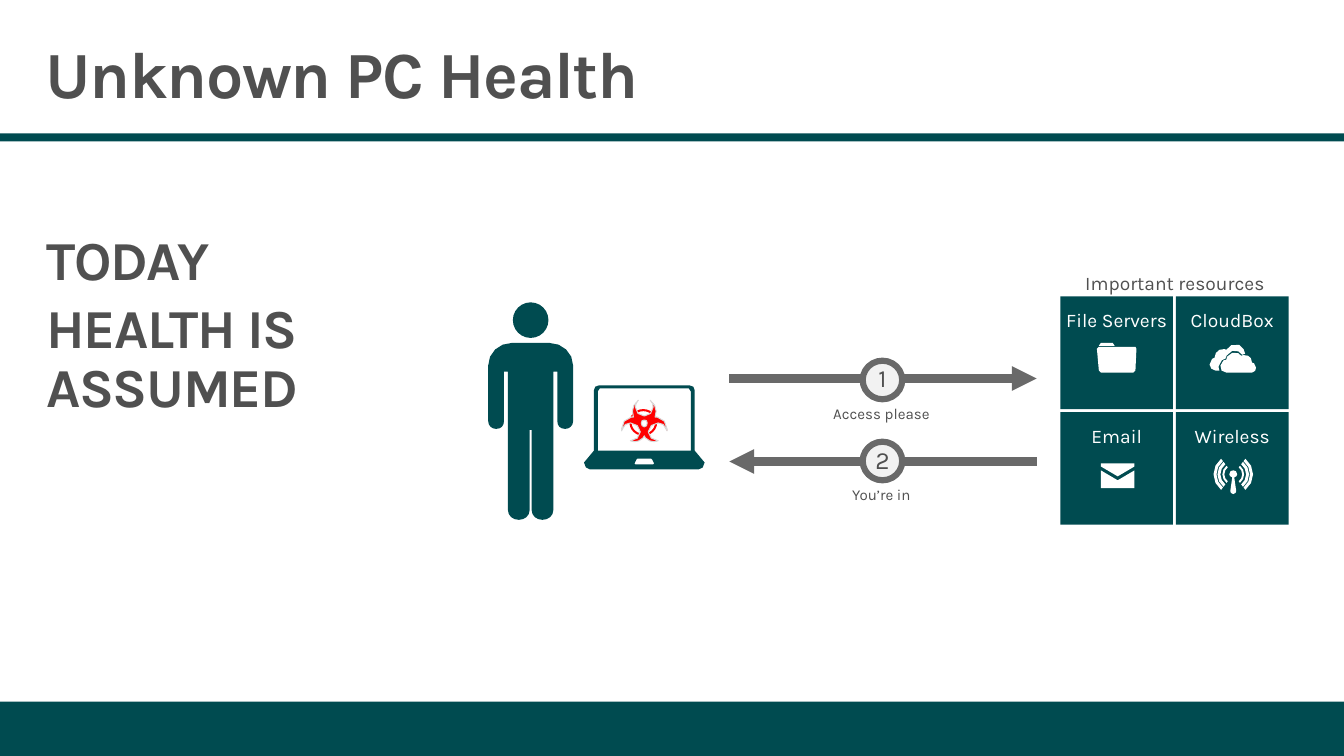
from math import cos, radians, sin

from lxml import etree
from pptx import Presentation
from pptx.dml.color import RGBColor
from pptx.enum.shapes import MSO_CONNECTOR, MSO_SHAPE
from pptx.enum.text import MSO_ANCHOR, PP_ALIGN
from pptx.oxml.ns import qn
from pptx.util import Inches, Pt

# Content
TITLE = "Unknown PC Health"
MESSAGE = ["TODAY", "HEALTH IS ASSUMED"]
RESOURCES_LABEL = "Important resources"
RESOURCES = [["File Servers", "CloudBox"], ["Email", "Wireless"]]
# number, caption, line y, circle top, caption top, line start x, line end x
STEPS = [
    ("1", "Access please", 3.83, 3.65, 4.11, 7.38, 10.49),
    ("2", "You’re in", 4.67, 4.47, 4.93, 10.49, 7.38),
]

FONT = "Karla"
TEAL, GREY, TEXT = "004B50", "696969", "505050"
PALE, WHITE, RED, EDGE = "F2F2F2", "FFFFFF", "FF0000", "D9D9D9"

# Outlines in inches: M starts a contour, L is a line, C is a Bezier curve.
# Symmetric icons give only their right half.
PERSON = """M 5.37 3.47 L 5.56 3.47 C 5.69 3.47 5.8 3.57 5.8 3.7 L 5.8 4.26
 C 5.8 4.31 5.76 4.34 5.72 4.34 C 5.67 4.34 5.64 4.31 5.64 4.26 L 5.64 3.76
 L 5.6 3.76 L 5.6 5.16 C 5.6 5.22 5.55 5.26 5.49 5.26
 C 5.43 5.26 5.38 5.22 5.38 5.16 L 5.38 4.35"""
LAPTOP = """M 6.52 3.9 L 6.98 3.9 C 7.01 3.9 7.03 3.92 7.03 3.95 L 7.03 4.56
 L 7.13 4.68 C 7.13 4.72 7.1 4.75 7.07 4.75
 M 6.59 4.64 L 6.6 4.65 L 6.62 4.69 L 6.61 4.7
 M 6.97 3.93 L 6.99 3.96 L 6.99 4.56"""
BIOHAZARD = """M 6.52 4.25 C 6.54 4.25 6.55 4.26 6.55 4.28
 C 6.55 4.3 6.54 4.32 6.52 4.32
 M 6.52 4.21 C 6.57 4.21 6.61 4.17 6.61 4.12 C 6.61 4.09 6.6 4.07 6.58 4.05
 C 6.62 4.08 6.64 4.12 6.64 4.16 L 6.63 4.22 L 6.65 4.22
 C 6.71 4.23 6.75 4.28 6.75 4.34 L 6.75 4.36 L 6.74 4.34
 C 6.73 4.3 6.7 4.28 6.66 4.28 C 6.61 4.28 6.56 4.32 6.56 4.37
 C 6.56 4.42 6.61 4.46 6.66 4.46 L 6.62 4.47
 C 6.59 4.47 6.56 4.46 6.53 4.43 L 6.52 4.41"""
CLOUDS = """M 12.67 3.67 C 12.67 3.67 12.71 3.67 12.71 3.72 C 12.71 3.74 12.7 3.77 12.67 3.77
 L 12.41 3.77 C 12.36 3.77 12.35 3.74 12.35 3.7 C 12.35 3.64 12.41 3.64 12.41 3.64
 C 12.41 3.64 12.41 3.58 12.47 3.57 C 12.52 3.56 12.55 3.58 12.56 3.6
 C 12.56 3.6 12.59 3.58 12.63 3.6 C 12.65 3.61 12.67 3.63 12.67 3.67
 M 12.33 3.71 C 12.33 3.64 12.4 3.63 12.4 3.63 C 12.4 3.63 12.41 3.57 12.47 3.55
 C 12.52 3.54 12.55 3.56 12.57 3.59 L 12.6 3.58
 C 12.6 3.56 12.58 3.51 12.54 3.49 C 12.48 3.47 12.43 3.5 12.41 3.54
 C 12.41 3.54 12.38 3.52 12.34 3.54 C 12.31 3.55 12.29 3.59 12.29 3.62
 C 12.29 3.62 12.24 3.63 12.24 3.69 C 12.24 3.72 12.27 3.75 12.3 3.75 L 12.34 3.75"""
FOLDER = """M 11.49 3.75 L 11.47 3.77 L 11.14 3.77 L 11.12 3.75 L 11.1 3.53 L 11.12 3.51
 L 11.49 3.51 L 11.5 3.53
 M 11.28 3.5 L 11.26 3.47 L 11.14 3.47 L 11.12 3.5"""
ENVELOPE = """M 11.31 4.86 L 11.48 4.76 L 11.48 4.94
 M 11.48 4.69 L 11.48 4.72 L 11.31 4.82"""
ANTENNA = """M 12.48 4.76 C 12.5 4.76 12.52 4.77 12.52 4.8 C 12.52 4.81 12.51 4.83 12.49 4.83
 L 12.51 4.97 C 12.51 4.98 12.5 5 12.48 5"""
WAVE_CENTRE, WAVE_RADII = (12.48, 4.8), [(0.09, 0.11), (0.13, 0.16), (0.17, 0.2)]

prs = Presentation()
prs.slide_width, prs.slide_height = Inches(13.6), Inches(7.65)
s = prs.slides.add_slide(prs.slide_layouts[6])


def rgb(value):
    return RGBColor.from_string(value)


def paint(sp, fill=None, line=None, width=0):
    sp.shadow.inherit = False
    if fill:
        sp.fill.solid()
        sp.fill.fore_color.rgb = rgb(fill)
    else:
        sp.fill.background()
    if line:
        sp.line.color.rgb = rgb(line)
        sp.line.width = Pt(width)
    else:
        sp.line.fill.background()


def write(sp, lines, size, color=TEXT, bold=False, align=PP_ALIGN.CENTER,
          inset=(0, 0), anchor=MSO_ANCHOR.TOP, after=0):
    tf = sp.text_frame
    tf.word_wrap = True
    tf.vertical_anchor = anchor
    tf.margin_left = tf.margin_right = Inches(inset[0])
    tf.margin_top, tf.margin_bottom = Inches(inset[1]), 0
    for i, line in enumerate(lines):
        p = tf.add_paragraph() if i else tf.paragraphs[0]
        p.alignment, p.line_spacing, p.space_after = align, 0.9, Pt(after)
        r = p.add_run()
        r.text = line
        r.font.name, r.font.size, r.font.bold = FONT, Pt(size), bold
        r.font.color.rgb = rgb(color)
        if bold:
            r.font._element.set("spc", "-100")


def textbox(x, y, w, h, lines, size, **style):
    write(s.shapes.add_textbox(*map(Inches, (x, y, w, h))), lines, size, **style)


def shape(kind, x, y, w, h, *colors):
    sp = s.shapes.add_shape(kind, *map(Inches, (x, y, w, h)))
    paint(sp, *colors)
    return sp


def contours(outline, axis=None, steps=2):
    """Turn an outline into point lists, mirrored about x = axis if given."""
    found = []
    for part in outline.replace("M", "|M").replace("L", "|L").replace("C", "|C").split("|")[1:]:
        command, *numbers = part.split()
        v = [float(n) for n in numbers]
        if command == "M":
            found.append([])
        if command != "C":
            found[-1].append((v[0], v[1]))
            continue
        start = found[-1][-1]
        for t in [k / steps for k in range(1, steps + 1)]:
            weights = ((1 - t) ** 3, 3 * t * (1 - t) ** 2, 3 * t * t * (1 - t), t ** 3)
            found[-1].append(tuple(
                sum(w * c for w, c in zip(weights, (start[d], v[d], v[d + 2], v[d + 4])))
                for d in (0, 1)))
    if axis:
        found = [pts + [(2 * axis - x, y) for x, y in reversed(pts)] for pts in found]
    return found


def wave(inner, outer, facing):
    cx, cy = WAVE_CENTRE
    angles = [radians(facing + a) for a in range(-52, 53, 26)]
    return ([(cx + outer * cos(a), cy + outer * sin(a)) for a in angles]
            + [(cx + inner * cos(a), cy + inner * sin(a)) for a in reversed(angles)])


def icon(parts, *colors):
    parts = [[(Inches(x), Inches(y)) for x, y in pts] for pts in parts]
    builder = s.shapes.build_freeform(*parts[0][0], scale=1.0)
    for i, pts in enumerate(parts):
        if i:
            builder.move_to(*pts[0])
        builder.add_line_segments(pts[1:], close=True)
    paint(builder.convert_to_shape(), *colors)


# Title, bars and message
textbox(0.3, 0.32, 13, 1, [TITLE], 48, bold=True, align=PP_ALIGN.LEFT, inset=(0.16, 0.1))
for top, height in [(1.35, 0.08), (7.1, 0.55)]:
    shape(MSO_SHAPE.RECTANGLE, 0, top, 13.6, height, TEAL)
textbox(0.27, 2.2, 4, 2.26, MESSAGE, 40, bold=True, align=PP_ALIGN.LEFT,
        inset=(0.2, 0.16), after=6)

# Person with an infected laptop
icon(contours(PERSON, 5.37, steps=4), TEAL)
shape(MSO_SHAPE.OVAL, 5.19, 3.06, 0.36, 0.36, TEAL)
icon(contours(LAPTOP, 6.52), TEAL)
shape(MSO_SHAPE.OVAL, 6.38, 4.15, 0.26, 0.25, None, RED, 1.5)
icon(contours(BIOHAZARD, 6.52), RED, EDGE, 0.75)

# Numbered request and reply arrows
for number, caption, y, circle_y, caption_y, x1, x2 in STEPS:
    arrow = s.shapes.add_connector(MSO_CONNECTOR.STRAIGHT, *map(Inches, (x1, y, x2, y)))
    arrow.line.color.rgb, arrow.line.width = rgb(GREY), Pt(6)
    etree.SubElement(arrow.line._get_or_add_ln(), qn("a:tailEnd"), type="triangle")
    etree.SubElement(arrow._element.spPr, qn("a:effectLst"))
    circle = shape(MSO_SHAPE.OVAL, 8.73, circle_y, 0.4, 0.39, PALE, GREY, 4.5)
    write(circle, [number], 18, anchor=MSO_ANCHOR.MIDDLE)
    textbox(7.87, caption_y, 2.1, 0.17, [caption], 11)

# Resource tiles and their icons
textbox(10.96, 2.77, 1.86, 0.22, [RESOURCES_LABEL], 14)
for row, names in enumerate(RESOURCES):
    for col, name in enumerate(names):
        tile = shape(MSO_SHAPE.RECTANGLE, 10.73 + 1.17 * col, 3 + 1.17 * row, 1.14, 1.14, TEAL)
        write(tile, [name], 14, WHITE, inset=(0, 0.15))
waves = [wave(*radii, facing) for radii in WAVE_RADII for facing in (0, 180)]
for parts in [contours(FOLDER), contours(CLOUDS), contours(ENVELOPE, 11.31),
              contours(ANTENNA, 12.48) + waves]:
    icon(parts, WHITE)

prs.save("out.pptx")
